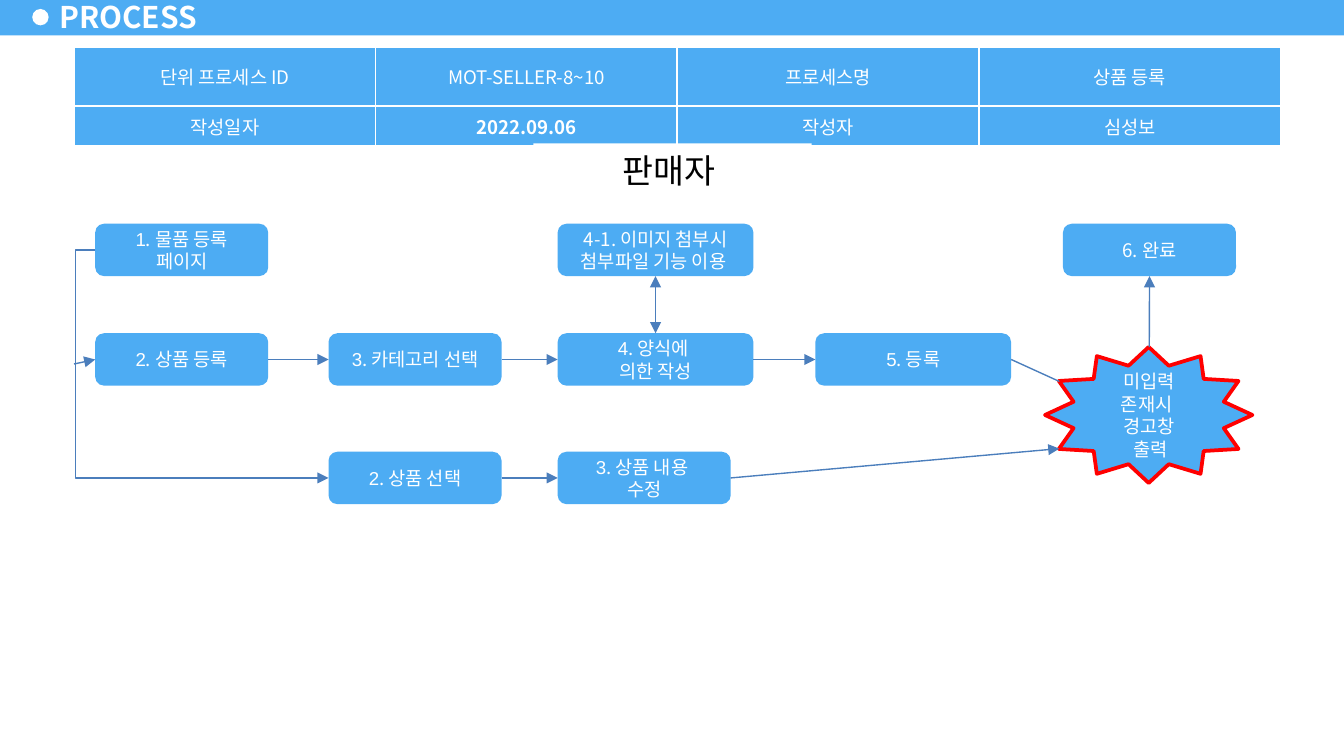
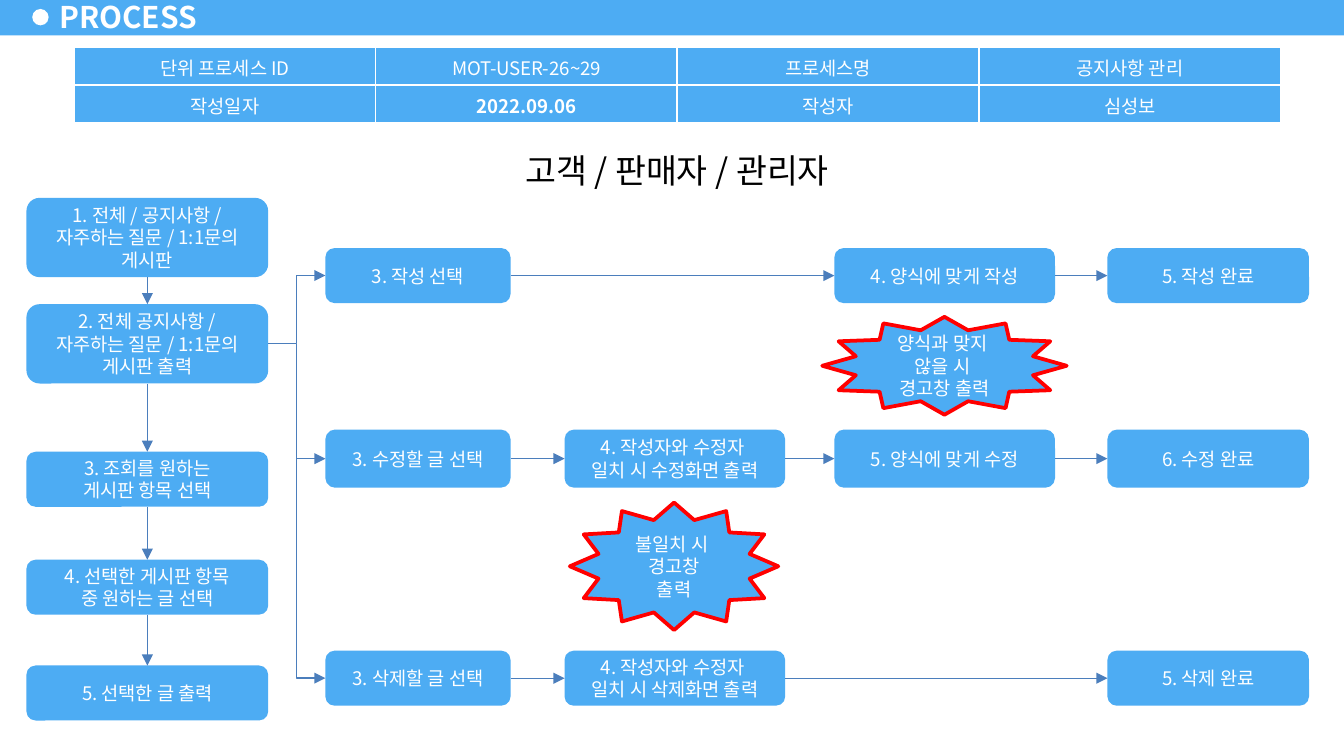
from dataclasses import dataclass
from pptx import Presentation
from pptx.dml.color import RGBColor
from pptx.enum.shapes import MSO_CONNECTOR, MSO_SHAPE
from pptx.enum.text import MSO_ANCHOR, MSO_AUTO_SIZE, PP_ALIGN
from pptx.oxml.ns import qn
from pptx.util import Cm, Pt
from lxml.etree import SubElement


@dataclass(frozen=True)
class Theme:
    blue: str = "4DACF3"
    white: str = "FFFFFF"
    black: str = "000000"
    red: str = "FF0000"
    line: str = "4B7EBC"
    font: str = "Noto Sans CJK KR"
    number_font: str = "Arial"
    title: int = 16
    label: int = 18
    body: int = 10


T = Theme()
TOP, LEFT, BOTTOM, RIGHT = range(4)


def rgb(value):
    return RGBColor.from_string(value)


def add_run(p, text, size, color, font=T.font, bold=False):
    r = p.add_run()
    r.text = text
    r.font.name = font
    r.font.size = Pt(size)
    r.font.bold = bold
    r.font.color.rgb = rgb(color)
    SubElement(r._r.get_or_add_rPr(), qn("a:ea")).set("typeface", font)


def write(tf, text, size=T.body, color=T.white, number="", bold=False,
          align=PP_ALIGN.CENTER):
    for i, para in enumerate(text.split("\n")):
        p = tf.add_paragraph() if i else tf.paragraphs[0]
        p.alignment = align
        if number and i == 0:
            add_run(p, number, size, color, T.number_font)
        for j, line in enumerate(para.split("\v")):
            if j:
                p.add_line_break()
            add_run(p, line, size, color, bold=bold)


def add_shape(s, kind, x, y, w, h, fill=T.blue, outline=None):
    sp = s.shapes.add_shape(kind, Cm(x), Cm(y), Cm(w), Cm(h))
    sp.shadow.inherit = False
    sp.fill.solid()
    sp.fill.fore_color.rgb = rgb(fill)
    if outline:
        sp.line.color.rgb = rgb(outline)
        sp.line.width = Pt(2)
    else:
        sp.line.fill.background()
    tf = sp.text_frame
    tf.word_wrap = True
    tf.vertical_anchor = MSO_ANCHOR.MIDDLE
    return sp


def add_step(s, x, y, w, h, text, number=""):
    sp = add_shape(s, MSO_SHAPE.ROUNDED_RECTANGLE, x, y, w, h)
    write(sp.text_frame, text, number=number)
    return sp


def add_warning(s, x, y, w, h, text):
    sp = add_shape(s, MSO_SHAPE.STAR_12_POINT, x, y, w, h, outline=T.red)
    write(sp.text_frame, text)


def add_actor(s, x, w, text):
    sp = add_shape(s, MSO_SHAPE.RECTANGLE, x, 2.71, w, 1.03, T.white)
    tf = sp.text_frame
    tf.vertical_anchor = MSO_ANCHOR.TOP
    tf.auto_size = MSO_AUTO_SIZE.SHAPE_TO_FIT_TEXT
    write(tf, text, T.label, T.black)


def link(s, start, end, head=False, tail=True, bend=None):
    kind = MSO_CONNECTOR.STRAIGHT if bend is None else MSO_CONNECTOR.ELBOW
    a, b = [(0, 0) if hasattr(e[0], "shape_id") else e for e in (start, end)]
    c = s.shapes.add_connector(kind, Cm(a[0]), Cm(a[1]), Cm(b[0]), Cm(b[1]))
    if a is not start:
        c.begin_connect(*start)
    if b is not end:
        c.end_connect(*end)
    c.line.color.rgb = rgb(T.line)
    c.line.width = Pt(0.75)
    pr = c._element.spPr
    ln = pr.find(qn("a:ln"))
    for name, wanted in (("a:headEnd", head), ("a:tailEnd", tail)):
        if wanted:
            SubElement(ln, qn(name)).set("type", "triangle")
    SubElement(pr, qn("a:effectLst"))
    if bend is not None:
        guides = pr.find(qn("a:prstGeom")).get_or_add_avLst()
        guide = SubElement(guides, qn("a:gd"))
        guide.set("name", "adj1")
        guide.set("fmla", f"val {round(bend * 100000)}")


def chain(s, *steps, out=RIGHT, into=LEFT):
    for a, b in zip(steps, steps[1:]):
        link(s, (a, out), (b, into))


def add_info_table(s, process_id, process_name, heights):
    rows = (("단위 프로세스 ID", process_id, "프로세스명", process_name),
            ("작성일자", "2022.09.06", "작성자", "심성보"))
    frame = s.shapes.add_table(2, 4, Cm(1.4), Cm(0.89), Cm(22.8),
                               Cm(sum(heights)))
    table = frame.table
    table.first_row = table.horz_banding = False
    for col in table.columns:
        col.width = Cm(5.7)
    for i, texts in enumerate(rows):
        table.rows[i].height = Cm(heights[i])
        for j, text in enumerate(texts):
            cell = table.cell(i, j)
            cell.vertical_anchor = MSO_ANCHOR.MIDDLE
            write(cell.text_frame, text, bold=(i, j) == (1, 1))
            pr = cell._tc.get_or_add_tcPr()
            for edge in ("a:lnL", "a:lnR", "a:lnT", "a:lnB"):
                ln = SubElement(pr, qn(edge), w=str(Pt(1)))
                fill = SubElement(ln, qn("a:solidFill"))
                SubElement(fill, qn("a:srgbClr"), val=T.white)
            cell.fill.solid()
            cell.fill.fore_color.rgb = rgb(T.blue)


def prepare_layout(layout, s):
    band = add_shape(s, MSO_SHAPE.RECTANGLE, 0, -0.05, 25.4, 0.72)
    dot = add_shape(s, MSO_SHAPE.OVAL, 0.61, 0.17, 0.31, 0.31, T.white)
    for i, sp in enumerate((band, dot)):
        layout.shapes._spTree.insert(2 + i, sp._element)
    title = layout.placeholders[0]
    title.left, title.top = Cm(0.89), Cm(-0.1)
    title.width, title.height = Cm(3.1), Cm(0.82)


def add_title(s):
    tf = s.shapes.title.text_frame
    tf.word_wrap = False
    tf.auto_size = MSO_AUTO_SIZE.NONE
    tf.vertical_anchor = MSO_ANCHOR.MIDDLE
    tf.margin_left = tf.margin_right = Cm(0.23)
    tf.margin_top = tf.margin_bottom = Cm(0.11)
    write(tf, "PROCESS", T.title, bold=True, align=PP_ALIGN.LEFT)


def build_product_registration(s):
    add_title(s)
    add_info_table(s, "MOT-SELLER-8~10", "상품 등록", (1.11, 0.72))
    add_actor(s, 10.08, 5.26, "판매자 ")
    x1, x2, x3, x4, x5 = 1.8, 6.21, 10.54, 15.41, 20.09
    y1, y2, y3 = 4.23, 6.3, 8.54
    narrow, wide, h = 3.27, 3.7, 0.99

    add_step(s, x1, y1, narrow, h, ". 물품 등록\v페이지", "1")
    register = add_step(s, x1, y2, narrow, h, ". 상품 등록", "2")
    category = add_step(s, x2, y2, narrow, h, ". 카테고리 선택", "3")
    form = add_step(s, x3, y2, wide, h, ". 양식에 \v의한 작성", "4")
    image = add_step(s, x3, y1, wide, h,
                     "4-1. 이미지 첨부시 첨부파일 기능 이용 ")
    submit = add_step(s, x4, y2, wide, h, ". 등록", "5")
    select = add_step(s, x2, y3, narrow, h, ". 상품 선택", "2")
    edit = add_step(s, x3, y3, narrow, h, ". 상품 내용 \n수정", "3")
    done = add_step(s, x5, y1, narrow, h, "6. 완료")
    add_warning(s, 19.75, 6.56, 3.92, 2.57, "미입력 존재시 \v경고창\n 출력")

    link(s, (x1, y1 + h / 2), (x2, y3 + h / 2), bend=-0.084)
    link(s, (1.4, 6.88), (register, LEFT))
    chain(s, register, category, form, submit)
    chain(s, select, edit)
    link(s, (image, BOTTOM), (form, TOP), head=True)
    link(s, (submit, RIGHT), (20.02, 7.21), tail=False)
    link(s, (edit, RIGHT), (20.02, 8.48))
    link(s, (21.72, 6.56), (done, BOTTOM))


def build_notice_management(s):
    add_title(s)
    add_actor(s, 8.26, 9.07, "고객 / 판매자 / 관리자")
    add_info_table(s, "MOT-USER-26~29", "공지사항 관리", (0.72, 0.72))
    left_steps = (
        (3.74, 1.5, "1. 전체 / 공지사항 / 자주하는 질문 / 1:1문의 게시판"),
        (5.75, 1.5, "2. 전체 공지사항 / 자주하는 질문 / 1:1문의 게시판 출력"),
        (8.54, 1.04, "3. 조회를 원하는\n게시판 항목 선택"),
        (10.58, 1.04, "4. 선택한 게시판 항목\n중 원하는 글 선택"),
        (12.58, 1.04, "5. 선택한 글 출력"))
    column = [add_step(s, 0.5, y, 4.57, h, text) for y, h, text in left_steps]
    chain(s, *column, out=BOTTOM, into=TOP)

    columns = ((6.15, 3.5), (10.67, 4.17), (15.77, 4.17), (20.93, 3.81))
    lanes = (
        (4.69, 1.04, ("3. 작성 선택", None, "4. 양식에 맞게 작성",
                      "5. 작성 완료")),
        (8.12, 1.1, ("3. 수정할 글 선택",
                     "4. 작성자와 수정자 \v일치 시 수정화면 출력",
                     "5. 양식에 맞게 수정", "6. 수정 완료")),
        (12.3, 1.04, ("3. 삭제할 글 선택",
                      "4. 작성자와 수정자 \v일치 시 삭제화면 출력",
                      None, "5. 삭제 완료")))
    for y, h, texts in lanes:
        chain(s, *[add_step(s, x, y, w, h, text)
                   for (x, w), text in zip(columns, texts) if text])
    add_warning(s, 15.54, 5.99, 4.62, 1.85,
                "양식과 맞지 \v않을 시 \v경고창 출력")
    add_warning(s, 10.77, 9.5, 3.94, 2.41, "불일치 시 \v경고창\n출력")

    target, trunk, origin = columns[0][0], 5.61, 6.5
    write_y, edit_y, delete_y = [y + h / 2 for y, h, _ in lanes]
    link(s, (5.07, origin), (target, write_y), bend=0.5)
    link(s, (trunk, origin), (target, delete_y), bend=0)
    link(s, (trunk, edit_y), (target, edit_y))


def main():
    prs = Presentation()
    prs.slide_width, prs.slide_height = Cm(25.4), Cm(14.29)
    layout = prs.slide_layouts[5]
    first, second = [prs.slides.add_slide(layout) for _ in range(2)]
    prepare_layout(layout, first)
    build_product_registration(first)
    build_notice_management(second)
    prs.save("out.pptx")


main()
